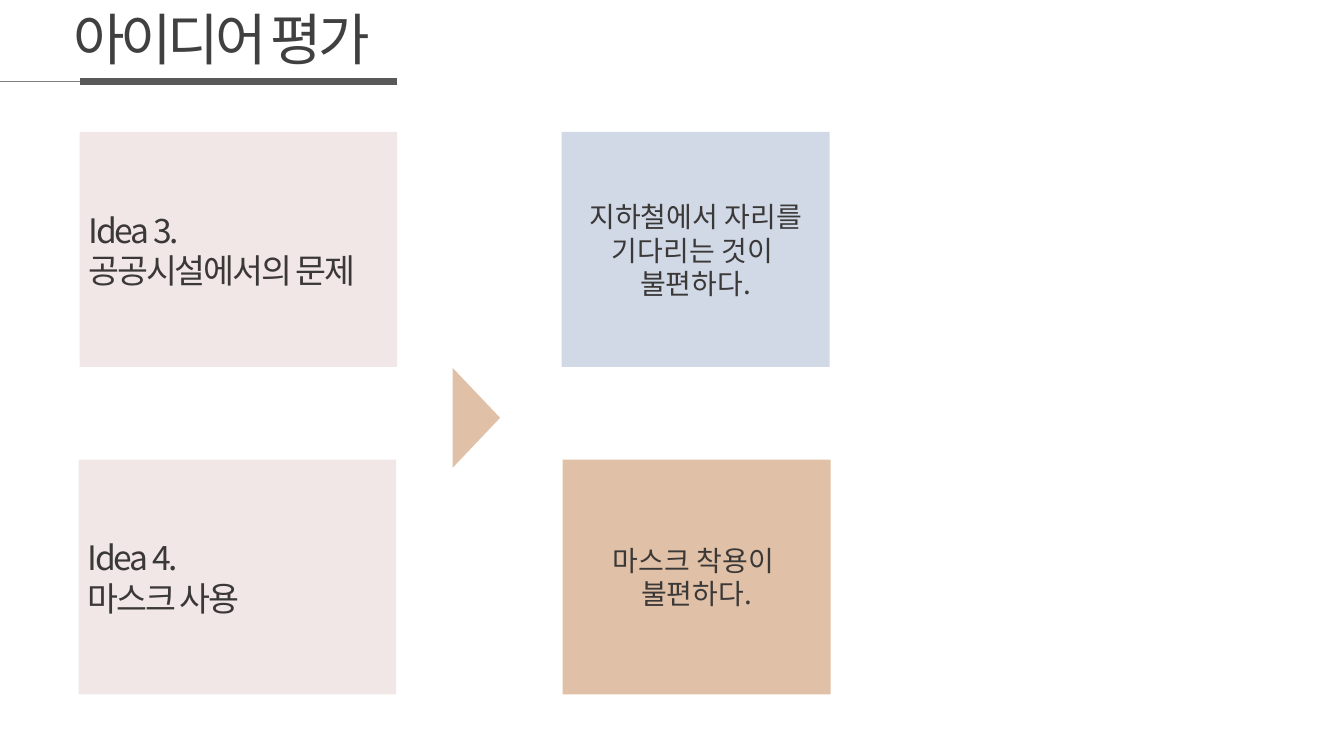
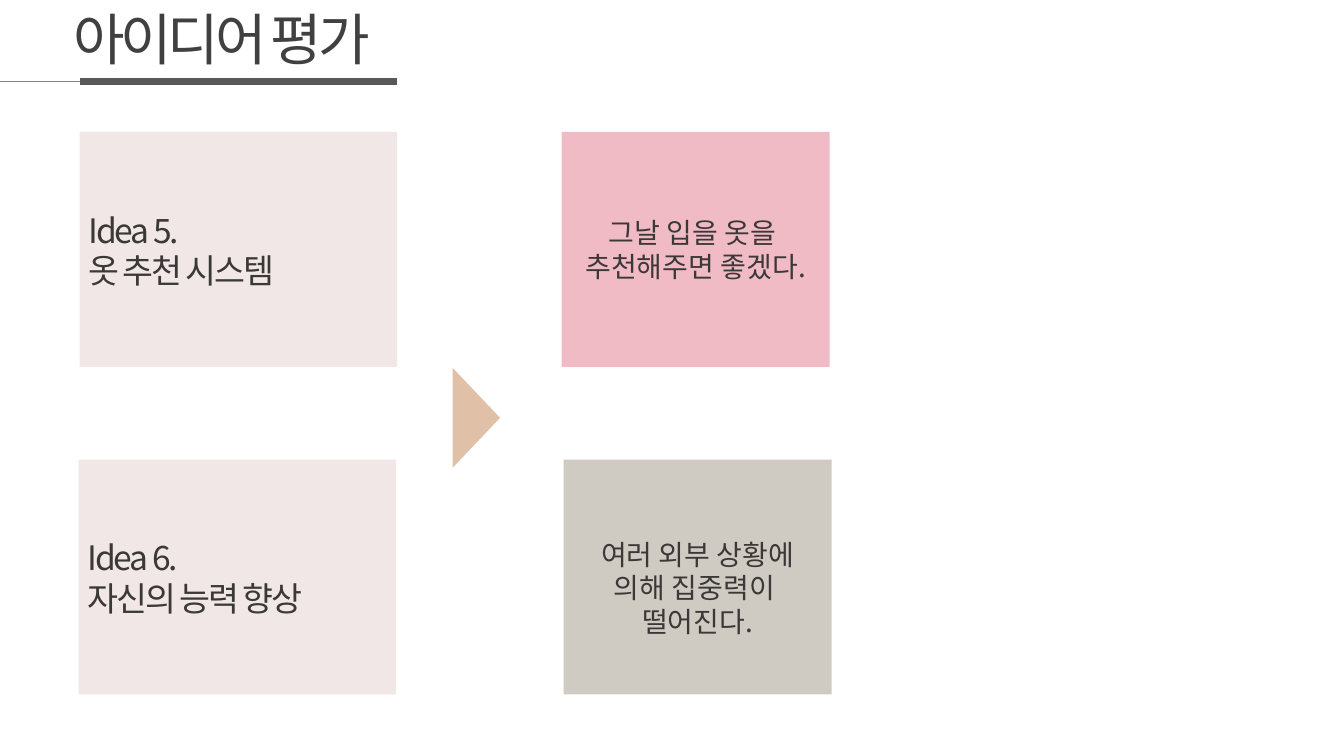
from pptx import Presentation
from pptx.dml.color import RGBColor
from pptx.enum.shapes import MSO_CONNECTOR as Connector, MSO_SHAPE as Shape
from pptx.enum.text import MSO_AUTO_SIZE as AutoSize, PP_ALIGN as Align
from pptx.oxml.ns import qn
from pptx.util import Inches, Pt
from lxml import etree

# Shared colours and text styles
THIN_GREY = RGBColor(0x80, 0x80, 0x80)
DARK_GREY = RGBColor(0x59, 0x59, 0x59)
TITLE_GREY = RGBColor(0x40, 0x40, 0x40)
TEXT_GREY = RGBColor(0x3B, 0x38, 0x38)
BLUSH = RGBColor(0xF1, 0xE7, 0xE6)
TAN = RGBColor(0xE0, 0xC1, 0xA7)
BLUE = RGBColor(0xD1, 0xD9, 0xE6)
PINK = RGBColor(0xF0, 0xBB, 0xC5)
STONE = RGBColor(0xCF, 0xCB, 0xC2)

FONT = "Noto Sans CJK KR"
TITLE = {"size": Pt(40), "color": TITLE_GREY, "spacing": -300, "align": Align.LEFT}
IDEA = {"size": Pt(24), "color": TEXT_GREY, "spacing": -150, "align": Align.LEFT}
PROBLEM = {"size": Pt(20), "color": TEXT_GREY, "spacing": 0, "align": Align.CENTER}

# Each row: idea, problem, problem colour, problem left, problem text top, text height
PAGES = [
    [("Idea 3.\n공공시설에서의 문제", "지하철에서 자리를 기다리는 것이 \n불편하다.", BLUE, 5.57, 1.93, 1.11),
     ("Idea 4.\n마스크 사용", "마스크 착용이 \n불편하다.", TAN, 5.58, 5.34, 0.77)],
    [("Idea 5.\n옷 추천 시스템", "그날 입을 옷을 \n추천해주면 좋겠다.", PINK, 5.57, 2.09, 0.77),
     ("Idea 6.\n자신의 능력 향상", "여러 외부 상황에 의해 집중력이 \n떨어진다.", STONE, 5.59, 5.28, 1.11)],
]
ROWS = [(0.79, 1.31), (0.78, 4.56)]
CARD_HEIGHT = 2.33


def add_block(page, kind, area, color):
    block = page.shapes.add_shape(kind, *map(Inches, area))
    block.shadow.inherit = False
    block.fill.solid()
    block.fill.fore_color.rgb = color
    block.line.fill.background()
    return block


def add_text(page, text, area, style, wrap=True):
    frame = page.shapes.add_textbox(*map(Inches, area)).text_frame
    frame.word_wrap = wrap
    frame.auto_size = AutoSize.SHAPE_TO_FIT_TEXT
    para = frame.paragraphs[0]
    para.text = text
    para.alignment = style["align"]
    for span in para.runs:
        for name, value in {"name": FONT, "size": style["size"]}.items():
            setattr(span.font, name, value)
        span.font.color.rgb = style["color"]
        props = span.font._element if hasattr(span.font, "_element") else span._r.get_or_add_rPr()
        props.set("spc", str(style["spacing"]))
        etree.SubElement(props, qn("a:ea")).set("typeface", FONT)


deck = Presentation()
deck.slide_width, deck.slide_height = Inches(13.33), Inches(7.5)

for rows in PAGES:
    page = deck.slides.add_slide(deck.slide_layouts[6])

    # Title with its rule
    for start, end, color, width in [(0, 0.79, THIN_GREY, 0.5), (0.79, 3.94, DARK_GREY, 4.5)]:
        rule = page.shapes.add_connector(
            Connector.STRAIGHT, Inches(start), Inches(0.81), Inches(end), Inches(0.81))
        rule.line.color.rgb = color
        rule.line.width = Pt(width)
        etree.SubElement(rule._element.spPr, qn("a:effectLst"))
    add_text(page, "아이디어 평가", (0.63, 0, 3.46, 0.77), TITLE, wrap=False)

    # Arrow from ideas to problems
    arrow = add_block(page, Shape.ISOSCELES_TRIANGLE, (4.23, 3.91, 0.99, 0.47), TAN)
    arrow.rotation = 90

    # Idea cards on the left, problem cards on the right
    for (left, top), row in zip(ROWS, rows):
        idea, problem, color, problem_left, text_top, text_height = row
        add_block(page, Shape.RECTANGLE, (left, top, 3.15, CARD_HEIGHT), BLUSH)
        add_text(page, idea, (left - 0.01, top + 0.72, 3.13, 0.91), IDEA)
        add_block(page, Shape.RECTANGLE, (problem_left, top, 2.66, CARD_HEIGHT), color)
        add_text(page, problem, (problem_left, text_top, 2.66, text_height), PROBLEM)

deck.save("out.pptx")
